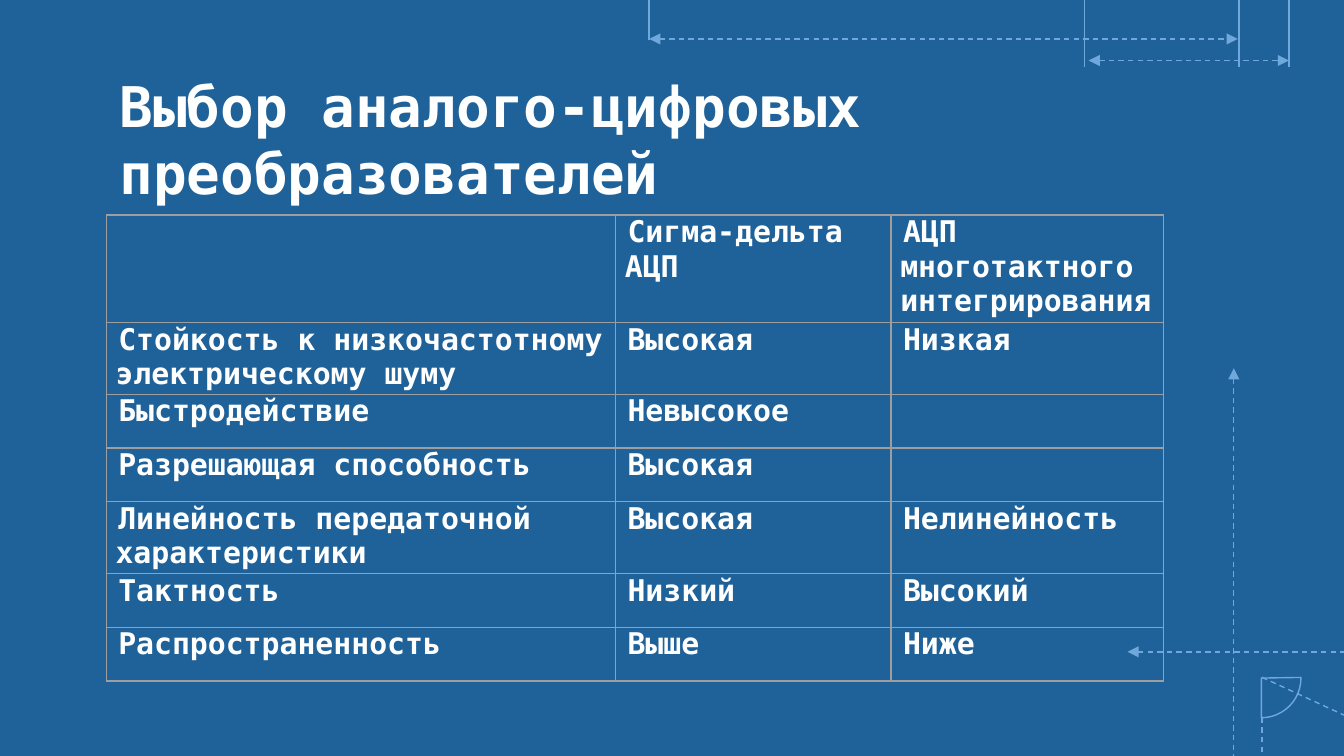
import pptx
import pptx.util
import pptx.dml.color
import pptx.enum.dml
import pptx.enum.shapes
import pptx.enum.text
import pptx.oxml
import pptx.oxml.ns
import lxml.etree

Inches, Pt = pptx.util.Inches, pptx.util.Pt

TITLE = "Выбор аналого-цифровых преобразователей"
ROWS = [
    ("", "Сигма-дельта АЦП", "АЦП многотактного интегрирования"),
    ("Стойкость к низкочастотному электрическому шуму", "Высокая", "Низкая"),
    ("Быстродействие", "Невысокое", ""),
    ("Разрешающая способность", "Высокая", ""),
    ("Линейность передаточной характеристики", "Высокая", "Нелинейность"),
    ("Тактность", "Низкий", "Высокий"),
    ("Распространенность", "Выше", "Ниже"),
]
COLS = (3.79, 2.05, 2.03)
ROW = 0.4
TALL = 3.47

# Blueprint marks: x1, y1, x2, y2
SOLID = [
    (4.83, 0.3, 4.83, -0.37),
    (8.07, 0.5, 8.07, -0.57),
    (9.22, 0.5, 9.22, -0.06),
    (9.59, 0.5, 9.59, -0.06),
]
ARROWS = [
    (4.83, 0.29, 9.21, 0.29),
    (8.1, 0.45, 9.59, 0.45),
    (9.18, 2.74, 9.18, 5.96),
    (8.39, 4.85, 10.8, 4.85),
]
DASHED = [(9.39, 5.34, 9.39, 6.27), (9.39, 5.04, 11.65, 6.08)]

THEME = {
    "back": "1F6299", "mark": "6FA8DC", "text": "FFFFFF", "grid": "9E9E9E",
    "font": "DejaVu Sans Mono", "title": 30, "cell": 16, "line": 0.75,
}


def color(name):
    return pptx.dml.color.RGBColor.from_string(THEME[name])


def child(node, tag, **attrs):
    item = lxml.etree.SubElement(node, pptx.oxml.ns.qn(tag))
    for key, value in attrs.items():
        item.set(key, str(value))
    return item


def write(frame, text, size, indent=0):
    frame.word_wrap = True
    para = frame.paragraphs[0]
    para.alignment = pptx.enum.text.PP_ALIGN.LEFT
    if indent:
        props = para._p.get_or_add_pPr()
        props.set("marL", "0")
        props.set("indent", str(Inches(indent)))
    run = para.add_run()
    run.text = text
    run.font.name = THEME["font"]
    run.font.size = Pt(THEME[size])
    run.font.bold = True
    run.font.color.rgb = color("text")
    for tag in ("a:ea", "a:cs"):
        child(run._r.get_or_add_rPr(), tag, typeface=THEME["font"])


def stroke(line):
    line.color.rgb = color("mark")
    line.width = Pt(THEME["line"])


def draw(slide, ends, dash=False, arrows=False):
    mark = slide.shapes.add_connector(
        pptx.enum.shapes.MSO_CONNECTOR.STRAIGHT, *map(Inches, ends))
    stroke(mark.line)
    if dash:
        mark.line.dash_style = pptx.enum.dml.MSO_LINE.DASH
    if arrows:
        for tag in ("a:headEnd", "a:tailEnd"):
            child(mark.line._get_or_add_ln(), tag, type="triangle")
    child(mark._element.spPr, "a:effectLst")


def border(cell):
    """Line all four sides; borders must come before the fill in the XML."""
    props = cell._tc.get_or_add_tcPr()
    for spot, side in enumerate("LRTB"):
        edge = child(props, "a:ln" + side, w=Pt(THEME["line"]))
        child(child(edge, "a:solidFill"), "a:srgbClr", val=THEME["grid"])
        props.insert(spot, edge)


def add_marks(slide):
    for ends in SOLID:
        draw(slide, ends)
    for ends in ARROWS:
        draw(slide, ends, dash=True, arrows=True)
    pie = slide.shapes.add_shape(
        pptx.enum.shapes.MSO_SHAPE.PIE,
        *map(Inches, (9.09, 4.75, 0.59, 0.59)))
    pie.adjustments[0], pie.adjustments[1] = 107.44, 162
    pie.rotation = 180
    pie.shadow.inherit = False
    pie.fill.background()
    stroke(pie.line)
    for ends in DASHED:
        draw(slide, ends, dash=True)


def add_title(slide):
    box = slide.shapes.add_textbox(*map(Inches, (0.79, 0.49, 8.43, 1.04)))
    frame = box.text_frame
    frame.margin_left = Inches(0.1)
    frame.margin_top = Inches(0.04)
    frame.margin_bottom = 0
    write(frame, TITLE, "title")


def add_grid(slide):
    holder = slide.shapes.add_table(
        len(ROWS), len(COLS), Inches(0.79), Inches(1.6),
        Inches(sum(COLS)), Inches(TALL))
    table = holder.table
    table.first_row = table.horz_banding = False
    for col, width in zip(table.columns, COLS):
        col.width = Inches(width)
    for row, texts in zip(table.rows, ROWS):
        row.height = Inches(ROW)
        for cell, text in zip(row.cells, texts):
            cell.fill.background()
            border(cell)
            cell.margin_left = cell.margin_right = Inches(0.07)
            cell.margin_top = cell.margin_bottom = 0
            if text:
                write(cell.text_frame, text, "cell", indent=0.02)
    holder.height = Inches(TALL)


def main():
    deck = pptx.Presentation()
    deck.slide_width, deck.slide_height = Inches(10), Inches(10 * 9 / 16)
    slide = deck.slides.add_slide(deck.slide_layouts[6])
    slide.background.fill.solid()
    slide.background.fill.fore_color.rgb = color("back")
    add_marks(slide)
    add_title(slide)
    add_grid(slide)
    deck.save("out.pptx")


if __name__ == "__main__":
    main()
